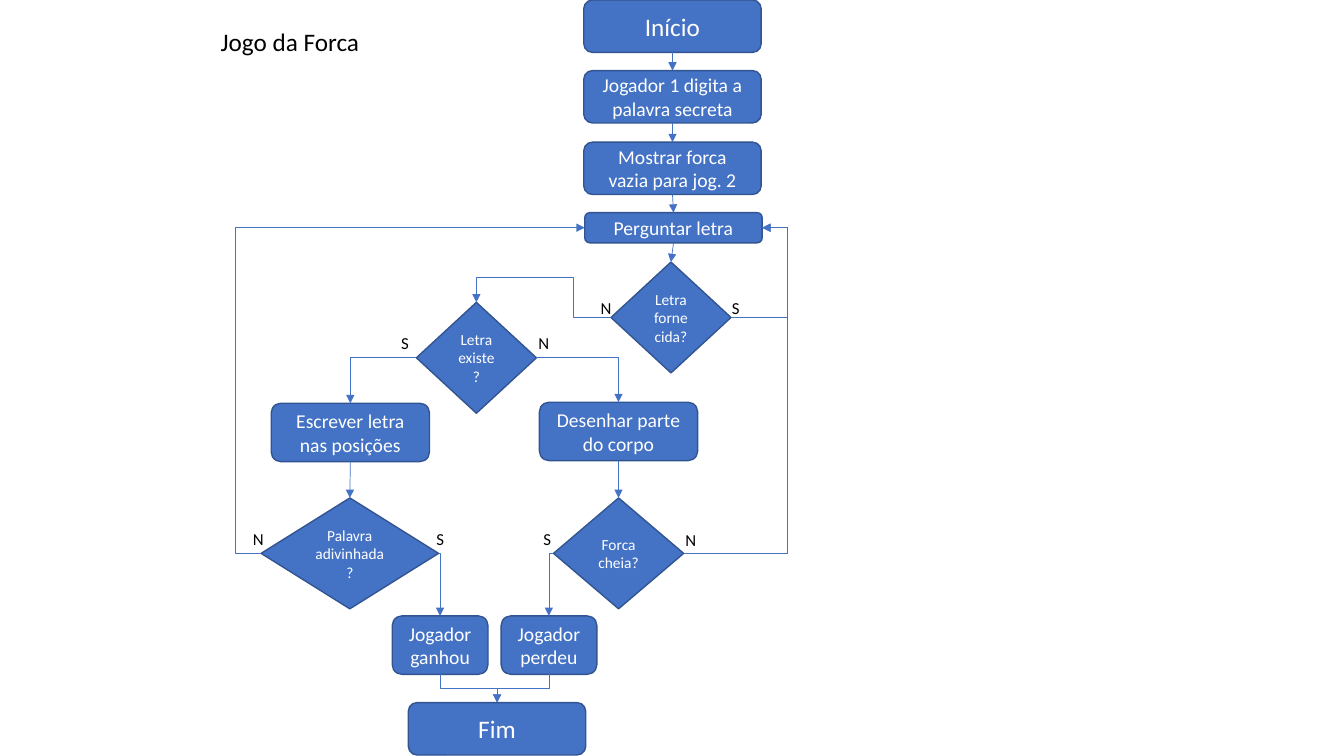
from lxml import etree
from pptx import Presentation
from pptx.dml.color import RGBColor
from pptx.enum.shapes import MSO_CONNECTOR, MSO_SHAPE
from pptx.enum.text import MSO_ANCHOR, MSO_AUTO_SIZE, PP_ALIGN
from pptx.oxml.ns import qn
from pptx.util import Inches, Pt

COLORS = {"fill": "4472C4", "border": "325491", "light": "FFFFFF", "dark": "000000"}
FONT = "Calibri"
TOP, LEFT, BOTTOM, RIGHT = range(4)  # connection sites


def write(box, text, size, color, align):
    box.text_frame.word_wrap = True
    para = box.text_frame.paragraphs[0]
    para.text = text
    para.alignment = align
    para.font.size = Pt(size)
    para.font.name = FONT
    para.font.color.rgb = RGBColor.from_string(COLORS[color])


def connect(start, start_site, end, end_site, preset="line", adjustments=()):
    kind = MSO_CONNECTOR.STRAIGHT if preset == "line" else MSO_CONNECTOR.ELBOW
    arrow = page.shapes.add_connector(kind, 0, 0, 0, 0)
    arrow.begin_connect(start, start_site)
    arrow.end_connect(end, end_site)
    width, height = arrow.end_x - arrow.begin_x, arrow.end_y - arrow.begin_y

    # An elbow leaving downwards is a horizontal one turned by 90 degrees
    if preset != "line" and start_site == BOTTOM:
        middle_x = (arrow.begin_x + arrow.end_x) // 2
        middle_y = (arrow.begin_y + arrow.end_y) // 2
        arrow.begin_x, arrow.begin_y = middle_x - height // 2, middle_y + width // 2
        arrow.end_x, arrow.end_y = middle_x + height // 2, middle_y - width // 2
        arrow.element.spPr.find(qn("a:xfrm")).set("rot", str(90 * 60000))

    # Bend positions, as shares of the width and height
    geometry = arrow.element.spPr.find(qn("a:prstGeom"))
    geometry.set("prst", preset)
    for number, share in enumerate(adjustments, 1):
        guide = etree.SubElement(geometry.find(qn("a:avLst")), qn("a:gd"))
        guide.set("name", f"adj{number}")
        guide.set("fmla", f"val {round(share * 100000)}")

    arrow.line.width = Pt(0.5)
    arrow.line.color.rgb = RGBColor.from_string(COLORS["fill"])
    outline = arrow.element.spPr.find(qn("a:ln"))
    etree.SubElement(outline, qn("a:tailEnd")).set("type", "triangle")
    etree.SubElement(arrow.element.spPr, qn("a:effectLst"))


deck = Presentation()
deck.slide_width, deck.slide_height = Inches(13.33), Inches(7.5)
page = deck.slides.add_slide(deck.slide_layouts[6])

# Steps and decisions: text, left, top, width, height, font size
PROCESS = MSO_SHAPE.FLOWCHART_ALTERNATE_PROCESS
DECISION = MSO_SHAPE.FLOWCHART_DECISION
nodes = {
    "start": (PROCESS, "Início", 5.79, 0, 1.76, 0.52, 18),
    "secret": (PROCESS, "Jogador 1 digita a palavra secreta", 5.79, 0.7, 1.76, 0.52, 14),
    "gallows": (PROCESS, "Mostrar forca vazia para jog. 2", 5.79, 1.41, 1.76, 0.52, 14),
    "ask": (PROCESS, "Perguntar letra", 5.8, 2.11, 1.76, 0.3, 14),
    "given": (DECISION, "Letra fornecida?", 6.06, 2.6, 1.19, 1.1, 11),
    "exists": (DECISION, "Letra existe?", 4.13, 3, 1.19, 1.1, 11),
    "write": (PROCESS, "Escrever letra nas posições", 2.69, 4, 1.57, 0.58, 14),
    "draw": (PROCESS, "Desenhar parte do corpo", 5.35, 3.99, 1.57, 0.58, 14),
    "guessed": (DECISION, "Palavra adivinhada?", 2.59, 4.94, 1.76, 1.1, 11),
    "full": (DECISION, "Forca cheia?", 5.49, 4.94, 1.29, 1.1, 11),
    "won": (PROCESS, "Jogador ganhou", 3.89, 6.11, 0.95, 0.58, 14),
    "lost": (PROCESS, "Jogador perdeu", 4.97, 6.11, 0.95, 0.58, 14),
    "end": (PROCESS, "Fim", 4.05, 6.97, 1.76, 0.52, 18),
}
boxes = {}
for name, (kind, text, left, top, width, height, size) in nodes.items():
    box = page.shapes.add_shape(kind, Inches(left), Inches(top), Inches(width), Inches(height))
    box.shadow.inherit = False
    box.fill.solid()
    box.fill.fore_color.rgb = RGBColor.from_string(COLORS["fill"])
    box.line.color.rgb = RGBColor.from_string(COLORS["border"])
    box.line.width = Pt(1)
    box.text_frame.vertical_anchor = MSO_ANCHOR.MIDDLE
    write(box, text, size, "light", PP_ALIGN.CENTER)
    boxes[name] = box

# Straight arrows down
for upper, lower in [
    ("start", "secret"), ("secret", "gallows"), ("gallows", "ask"),
    ("ask", "given"), ("write", "guessed"), ("draw", "full"),
]:
    connect(boxes[upper], BOTTOM, boxes[lower], TOP)

# Branches: one bend each
for decision, side, step in [
    ("exists", LEFT, "write"), ("exists", RIGHT, "draw"),
    ("guessed", RIGHT, "won"), ("full", LEFT, "lost"),
]:
    connect(boxes[decision], side, boxes[step], TOP, "bentConnector2")

# Detour to the next decision, loops back to the question, and the join at the end
connect(boxes["given"], LEFT, boxes["exists"], TOP, "bentConnector4", (0.277, 2.675))
for decision, side, bend in [
    ("given", RIGHT, 1.8), ("full", RIGHT, 1.32), ("guessed", LEFT, -0.08),
]:
    connect(boxes[decision], side, boxes["ask"], side, "bentConnector3", (bend,))
for result in ("won", "lost"):
    connect(boxes[result], BOTTOM, boxes["end"], TOP, "bentConnector3", (0.5,))

# Title and yes/no labels
labels = [("Jogo da Forca", 2.09, 0.21, 1.71, 0.4, 18)]
for text, left, top in [
    ("S", 3.88, 3.25), ("N", 5.24, 3.25), ("N", 5.86, 2.9), ("S", 7.16, 2.9),
    ("S", 4.23, 5.2), ("N", 2.41, 5.2), ("S", 5.29, 5.2), ("N", 6.7, 5.21),
]:
    labels.append((text, left, top, 0.31, 0.3, 12))
for text, left, top, width, height, size in labels:
    label = page.shapes.add_textbox(Inches(left), Inches(top), Inches(width), Inches(height))
    label.text_frame.auto_size = MSO_AUTO_SIZE.SHAPE_TO_FIT_TEXT
    write(label, text, size, "dark", PP_ALIGN.LEFT)

deck.save("out.pptx")
